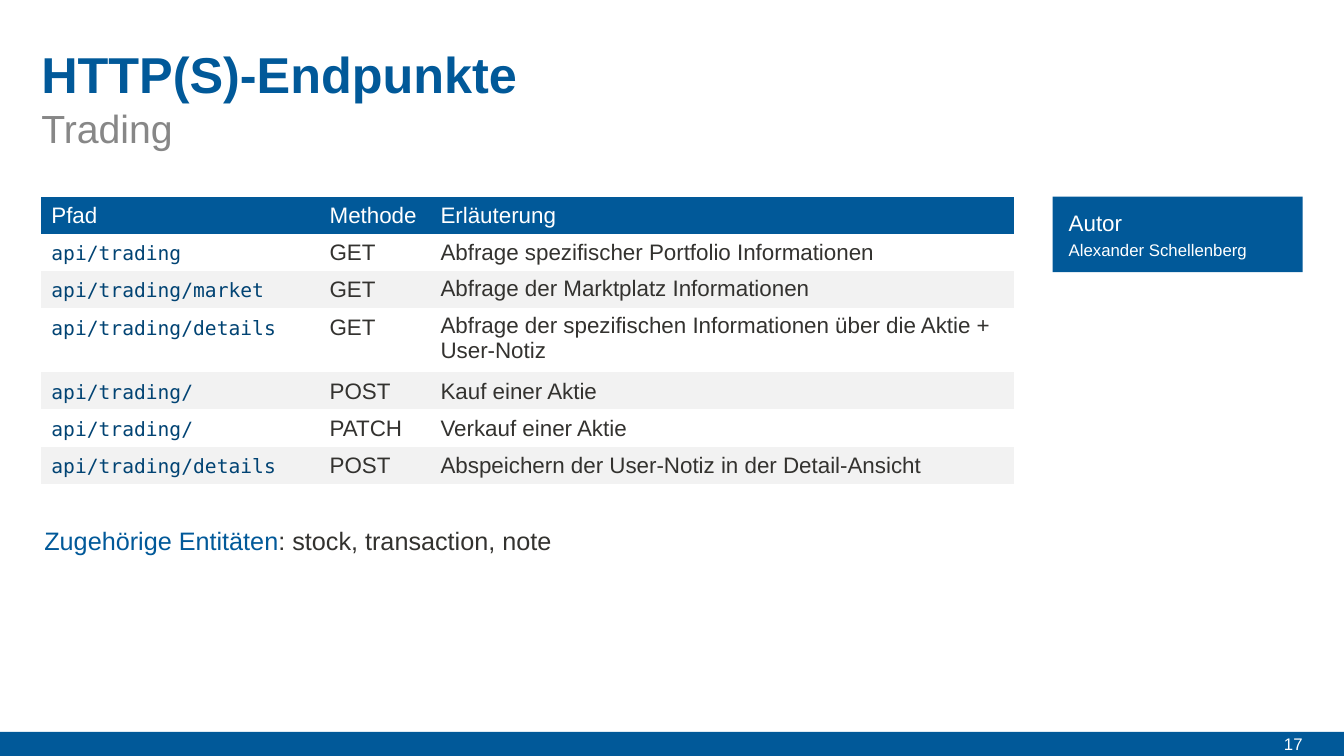
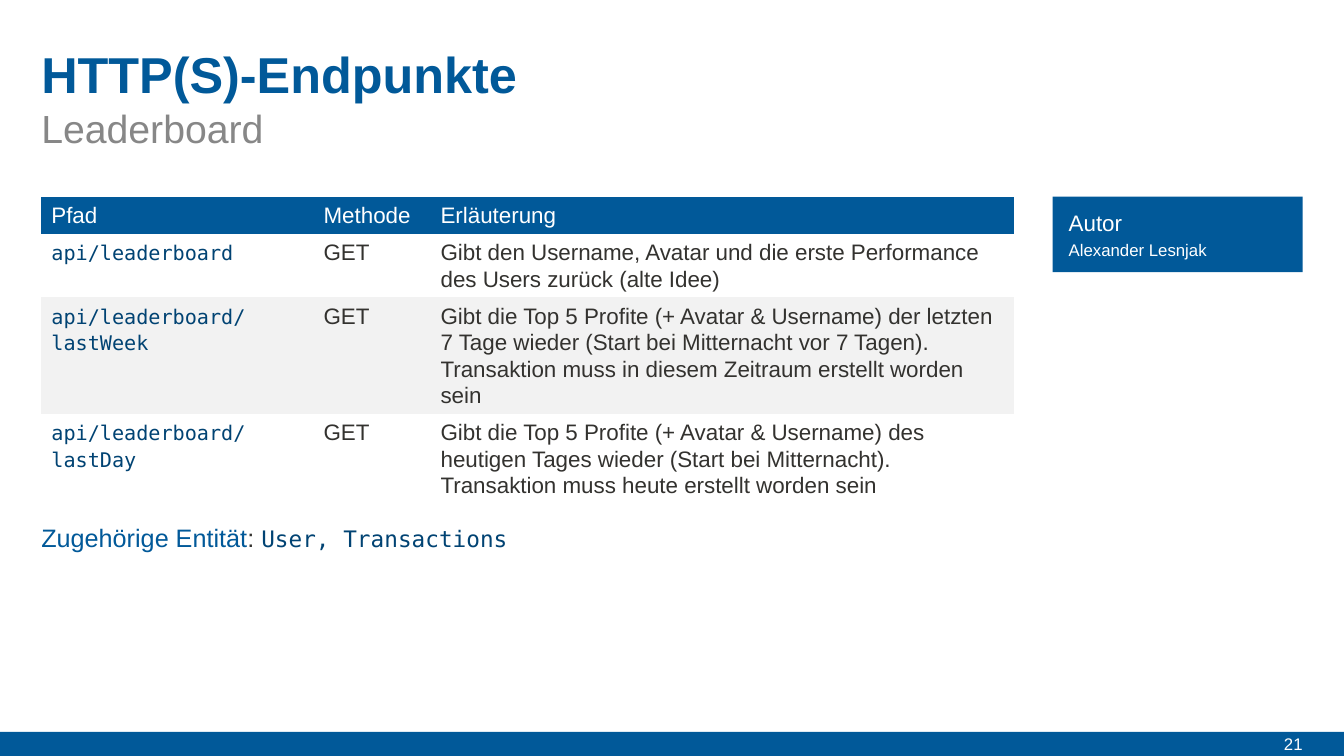
from dataclasses import dataclass

from lxml.etree import SubElement
from pptx import Presentation
from pptx.dml.color import RGBColor
from pptx.enum.shapes import MSO_SHAPE as Shape
from pptx.enum.text import MSO_ANCHOR as Anchor, PP_ALIGN as Align
from pptx.oxml.ns import qn
from pptx.util import Inches, Pt


@dataclass(frozen=True)
class Theme:
    blue: str = "015999"
    navy: str = "014373"
    ink: str = "33322F"
    grey: str = "878787"
    stripe: str = "F2F2F2"
    white: str = "FFFFFF"
    sans: str = "Arial"
    mono: str = "DejaVu Sans Mono"
    title: float = 36
    subtitle: float = 28
    note: float = 18
    body: float = 16
    small: float = 12


@dataclass(frozen=True)
class Run:
    text: str
    size: float
    color: str
    font: str = Theme.sans
    bold: bool = False


@dataclass(frozen=True)
class Endpoint:
    route: str
    method: str
    purpose: str
    leading: float | None = 19


THEME = Theme()
WIDTH, HEIGHT = 13.33, 7.5
MARGIN, GAP = 0.41, 0.38
SIDE = 2.48
MAIN = WIDTH - 2 * MARGIN - GAP - SIDE
SIDE_LEFT = MARGIN + MAIN + GAP
CONTENT_TOP = 1.95
BAND = 0.24
ROW = 0.37
PURPOSE_WIDTH = 0.6 * MAIN
CELL_LEADING = 19
NO_GRID_STYLE = "{2D5ABB26-0587-4C30-8999-92F81FD0307C}"


def place(shape, left, top, width, height):
    shape.left, shape.top = Inches(left), Inches(top)
    shape.width, shape.height = Inches(width), Inches(height)


def write(frame, runs, leading=None, align=Align.LEFT):
    line = frame.paragraphs[0]
    line.alignment = align
    line.line_spacing = leading
    for part in runs:
        run = line.add_run()
        run.text = part.text
        font = run.font
        font.name, font.size, font.bold = part.font, Pt(part.size), part.bold
        font.color.rgb = RGBColor.from_string(part.color)


def trim(frame, anchor):
    frame.margin_left = frame.margin_top = frame.margin_right = frame.margin_bottom = 0
    frame.word_wrap = True
    frame.vertical_anchor = anchor


def add_text(slide, box, runs, leading=None, anchor=Anchor.TOP, align=Align.LEFT):
    frame = slide.shapes.add_textbox(*map(Inches, box)).text_frame
    trim(frame, anchor)
    write(frame, runs, leading, align)


def add_panel(slide, left, top, width, height):
    panel = slide.shapes.add_shape(Shape.RECTANGLE, *map(Inches, (left, top, width, height)))
    panel.shadow.inherit = False
    panel.fill.solid()
    panel.fill.fore_color.rgb = RGBColor.from_string(THEME.blue)
    panel.line.fill.background()
    return panel


def add_heading(slide, title, subtitle):
    heading = slide.shapes.title
    place(heading, MARGIN, MARGIN, MAIN, 0.62)
    trim(heading.text_frame, Anchor.BOTTOM)
    write(heading.text_frame, [Run(title, THEME.title, THEME.blue, bold=True)])
    add_text(slide, (MARGIN, 0.95, MAIN, 0.55),
             [Run(subtitle, THEME.subtitle, THEME.grey)], 1.1, Anchor.BOTTOM)


def add_page_number(slide, number):
    width = 0.74
    add_text(slide, (WIDTH - MARGIN - width, HEIGHT - BAND, width, BAND),
             [Run(str(number), THEME.small, THEME.white)],
             anchor=Anchor.MIDDLE, align=Align.RIGHT)


def fill_row(table, index, runs, fill, leadings):
    table.rows[index].height = Inches(ROW)
    for cell, run, leading in zip(table.rows[index].cells, runs, leadings):
        cell.fill.solid()
        cell.fill.fore_color.rgb = RGBColor.from_string(fill)
        write(cell.text_frame, [run], Pt(leading) if leading else None)


def add_endpoints(slide, endpoints, route_width, code_size):
    count = len(endpoints) + 1
    holder = slide.shapes.add_table(
        count, 3, *map(Inches, (MARGIN, CONTENT_TOP, MAIN, count * ROW)))
    table = holder.table
    table.first_row = table.horz_banding = False
    next(holder.element.iter(qn("a:tableStyleId"))).text = NO_GRID_STYLE
    widths = (route_width, MAIN - route_width - PURPOSE_WIDTH, PURPOSE_WIDTH)
    for column, width in zip(table.columns, widths):
        column.width = Inches(width)

    headers = [Run(text, THEME.body, THEME.white)
               for text in ("Pfad", "Methode", "Erläuterung")]
    fill_row(table, 0, headers, THEME.blue, [CELL_LEADING] * 3)
    for index, endpoint in enumerate(endpoints, 1):
        runs = [Run(endpoint.route, code_size, THEME.navy, THEME.mono),
                Run(endpoint.method, THEME.body, THEME.ink),
                Run(endpoint.purpose, THEME.body, THEME.ink)]
        fill_row(table, index, runs, THEME.white if index % 2 else THEME.stripe,
                 (CELL_LEADING, CELL_LEADING, endpoint.leading))


def add_author(slide, name):
    inset = 0.16
    left, width = SIDE_LEFT + inset, SIDE - 2 * inset
    add_panel(slide, SIDE_LEFT, CONTENT_TOP, SIDE, HEIGHT / 10)
    add_text(slide, (left, CONTENT_TOP + 0.13, width, 0.27),
             [Run("Autor", THEME.body, THEME.white)], Pt(19))
    add_text(slide, (left, CONTENT_TOP + 0.43, width, 0.2),
             [Run(name, THEME.small, THEME.white)], Pt(14))


def add_entities(slide, left, top, runs):
    add_text(slide, (left, top, MAIN, 0.3), runs, Pt(22))


def add_endpoint_slide(deck, layout, subtitle, number, author):
    slide = deck.slides.add_slide(layout)
    add_heading(slide, "HTTP(S)-Endpunkte", subtitle)
    add_author(slide, author)
    add_page_number(slide, number)
    return slide


def move_band_to_layout(slide, layout):
    band = add_panel(slide, 0, HEIGHT - BAND, WIDTH, BAND)
    layout.shapes.element.append(band.element)


def main():
    deck = Presentation()
    deck.slide_width, deck.slide_height = Inches(WIDTH), Inches(HEIGHT)
    layout = deck.slide_layouts.get_by_name("Title Only")

    trading = add_endpoint_slide(deck, layout, "Trading", 17, "Alexander Schellenberg")
    move_band_to_layout(trading, layout)
    add_endpoints(trading, [
        Endpoint("api/trading", "GET", "Abfrage spezifischer Portfolio Informationen"),
        Endpoint("api/trading/market", "GET", "Abfrage der Marktplatz Informationen", None),
        Endpoint("api/trading/details", "GET",
                 "Abfrage der spezifischen Informationen über die Aktie + User-Notiz", None),
        Endpoint("api/trading/", "POST", "Kauf einer Aktie"),
        Endpoint("api/trading/", "PATCH", "Verkauf einer Aktie"),
        Endpoint("api/trading/details", "POST",
                 "Abspeichern der User-Notiz in der Detail-Ansicht"),
    ], route_width=2.76, code_size=14)
    add_entities(trading, 0.44, 5.21, [
        Run("Zugehörige Entitäten", THEME.note, THEME.blue),
        Run(": stock, transaction, note", THEME.note, THEME.ink),
    ])

    leaderboard = add_endpoint_slide(deck, layout, "Leaderboard", 21, "Alexander Lesnjak")
    add_endpoints(leaderboard, [
        Endpoint("api/leaderboard", "GET",
                 "Gibt den Username, Avatar und die erste Performance des Users zurück "
                 "(alte Idee)"),
        Endpoint("api/leaderboard/lastWeek", "GET",
                 "Gibt die Top 5 Profite (+ Avatar & Username) der letzten 7 Tage wieder "
                 "(Start bei Mitternacht vor 7 Tagen). Transaktion muss in diesem Zeitraum "
                 "erstellt worden sein"),
        Endpoint("api/leaderboard/lastDay", "GET",
                 "Gibt die Top 5 Profite (+ Avatar & Username) des heutigen Tages wieder "
                 "(Start bei Mitternacht). Transaktion muss heute erstellt worden sein"),
    ], route_width=2.7, code_size=0.9 * THEME.body)
    add_entities(leaderboard, MARGIN, 5.18, [
        Run("Zugehörige Entität", THEME.note, THEME.blue),
        Run(": ", THEME.note, THEME.ink),
        Run("User, Transactions", 0.9 * THEME.note, THEME.navy, THEME.mono),
    ])

    deck.save("out.pptx")


if __name__ == "__main__":
    main()
